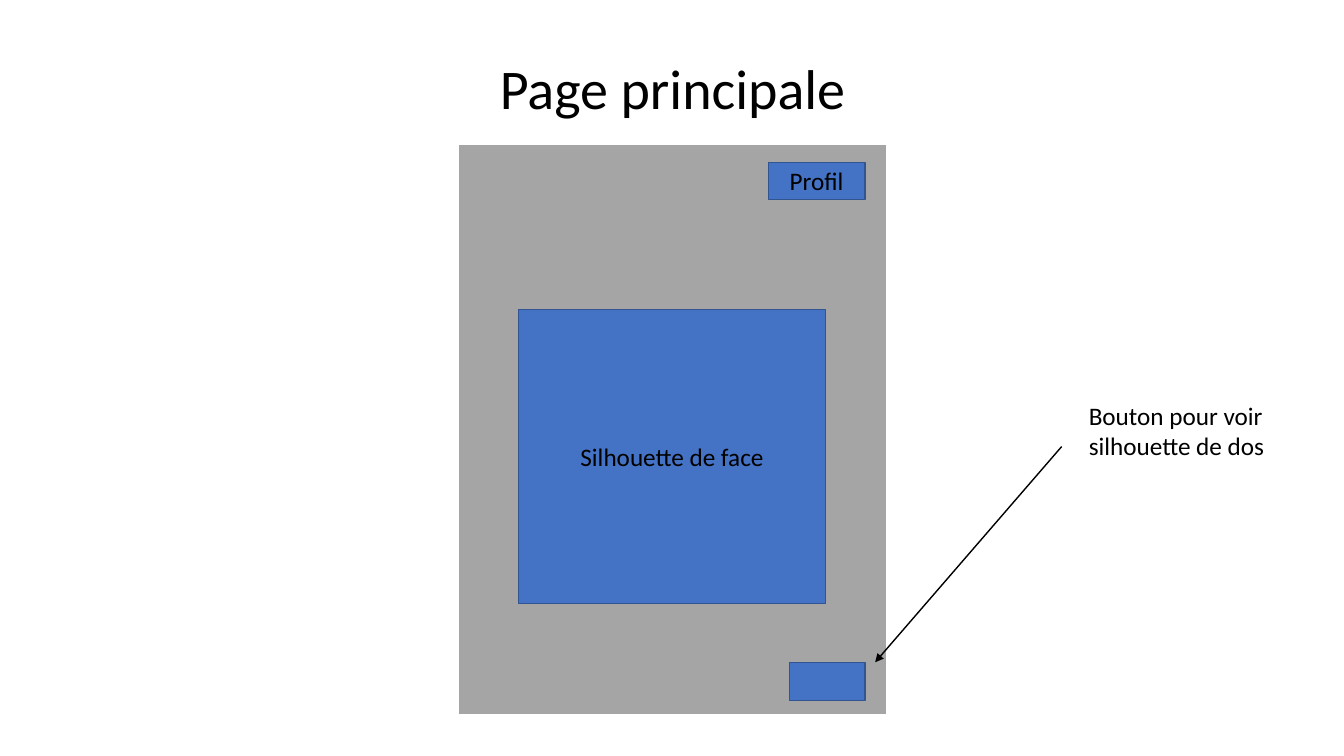
"""Build the slide that sketches the main page of the app."""
from dataclasses import dataclass

from lxml import etree
from pptx import Presentation
from pptx.dml.color import RGBColor
from pptx.enum.shapes import MSO_CONNECTOR, MSO_SHAPE
from pptx.enum.text import MSO_ANCHOR, MSO_AUTO_SIZE, PP_ALIGN
from pptx.oxml.ns import qn
from pptx.util import Inches, Pt

RECT = MSO_SHAPE.RECTANGLE
STRAIGHT = MSO_CONNECTOR.STRAIGHT
LEFT, CENTER = PP_ALIGN.LEFT, PP_ALIGN.CENTER
TOP, MIDDLE, BOTTOM = MSO_ANCHOR.TOP, MSO_ANCHOR.MIDDLE, MSO_ANCHOR.BOTTOM
GROW = MSO_AUTO_SIZE.SHAPE_TO_FIT_TEXT


@dataclass(frozen=True)
class Theme:
    font: str = "Calibri"
    ink: str = "000000"
    paper: str = "FFFFFF"
    page: str = "A5A5A5"
    block: str = "4472C4"
    edge: str = "325491"
    title: int = 40
    body: int = 18


class Sketch:
    def __init__(self, theme, slide):
        self.theme = theme
        self.slide = slide

    def label(self, frame, text, size, align, anchor):
        frame.word_wrap = True
        frame.vertical_anchor = anchor
        para = frame.paragraphs[0]
        para.alignment = align
        run = para.add_run()
        run.text = text
        run.font.name = self.theme.font
        run.font.size = Pt(size)
        run.font.color.rgb = RGBColor.from_string(self.theme.ink)
        return para

    def stroke(self, line, color, width):
        line.color.rgb = RGBColor.from_string(color)
        line.width = Pt(width)

    def box(self, area, fill, edge, width, text=None):
        shape = self.slide.shapes.add_shape(RECT, *map(Inches, area))
        shape.shadow.inherit = False
        shape.fill.solid()
        shape.fill.fore_color.rgb = RGBColor.from_string(fill)
        self.stroke(shape.line, edge, width)
        if text:
            self.label(shape.text_frame, text, self.theme.body, CENTER, MIDDLE)

    def block(self, area, text=None):
        self.box(area, self.theme.block, self.theme.edge, 1, text)

    def title(self, area, text):
        frame = self.slide.shapes.add_textbox(*map(Inches, area)).text_frame
        para = self.label(frame, text, self.theme.title, CENTER, BOTTOM)
        para.line_spacing = 0.9

    def note(self, area, text):
        frame = self.slide.shapes.add_textbox(*map(Inches, area)).text_frame
        self.label(frame, text, self.theme.body, LEFT, TOP)
        frame.auto_size = GROW

    def arrow(self, start, end):
        link = self.slide.shapes.add_connector(
            STRAIGHT, *map(Inches, start + end))
        self.stroke(link.line, self.theme.ink, 1)
        props = link.element.spPr
        tip = etree.SubElement(props.find(qn("a:ln")), qn("a:tailEnd"))
        tip.set("type", "triangle")
        etree.SubElement(props, qn("a:effectLst"))


theme = Theme()
deck = Presentation()
deck.slide_width, deck.slide_height = Inches(13.33), Inches(7.5)
sketch = Sketch(theme, deck.slides.add_slide(deck.slide_layouts[6]))

sketch.title((1.67, 0.41, 10, 0.85), "Page principale")
sketch.box((4.54, 1.43, 4.26, 5.66), theme.page, theme.paper, 1.5)
sketch.block((7.62, 1.61, 0.96, 0.37), "Profil")
sketch.block((5.14, 3.07, 3.05, 2.92), "Silhouette de face")
sketch.block((7.83, 6.57, 0.75, 0.38))
sketch.arrow((10.53, 4.43), (8.68, 6.57))
sketch.note((10.7, 3.92, 2.28, 0.71), "Bouton pour voir silhouette de dos")

deck.save("out.pptx")
